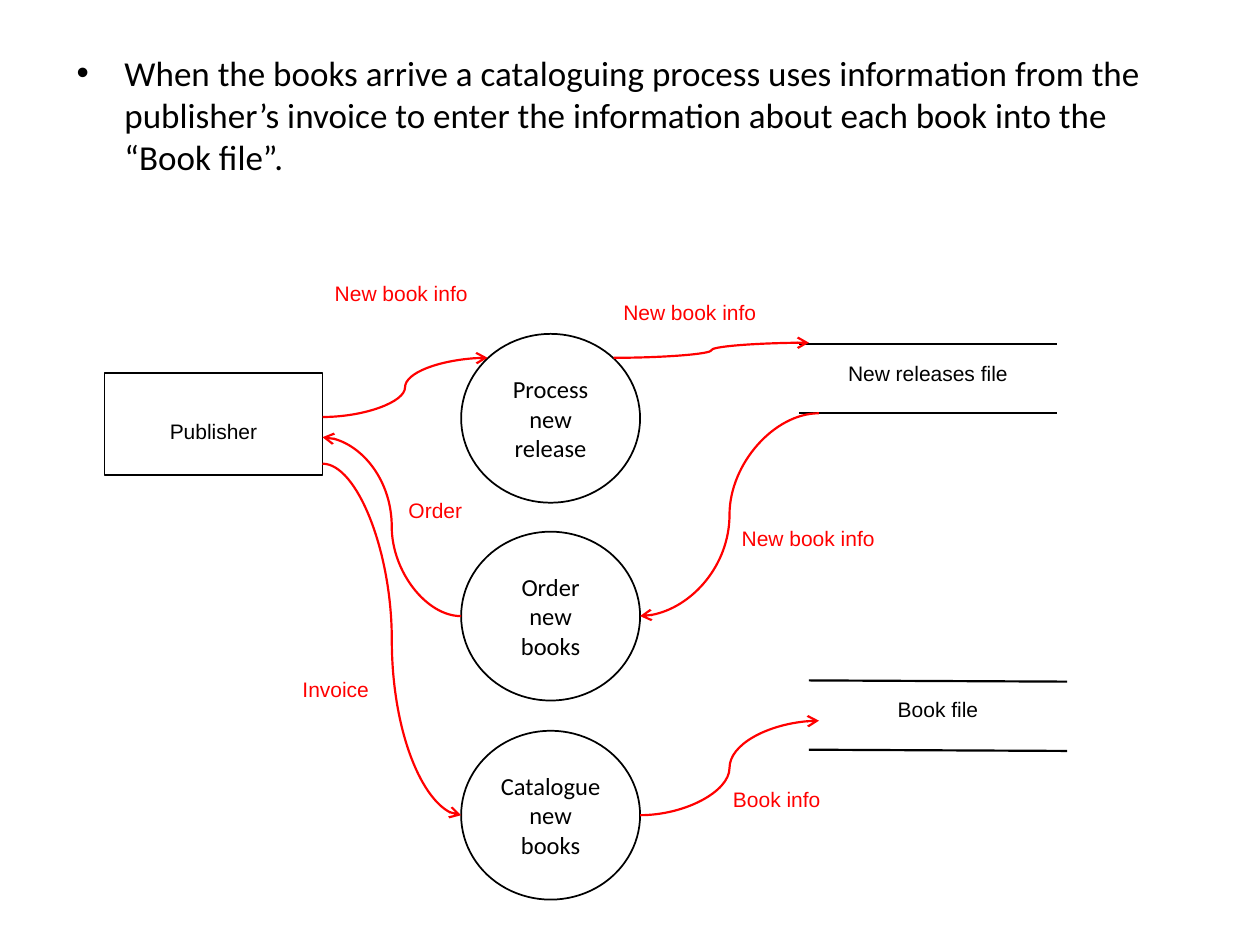
"""Build a data flow diagram slide for ordering and cataloguing books."""
import dataclasses

import lxml.etree
import pptx
import pptx.dml.color
import pptx.enum.shapes
import pptx.enum.text
import pptx.oxml.ns
import pptx.util

Inches = pptx.util.Inches
Pt = pptx.util.Pt
qn = pptx.oxml.ns.qn
Kind = pptx.enum.shapes.MSO_CONNECTOR
Form = pptx.enum.shapes.MSO_SHAPE
Align = pptx.enum.text.PP_ALIGN
Anchor = pptx.enum.text.MSO_ANCHOR

COLORS = {"ink": "000000", "flow": "FF0000"}
LABEL_W, LABEL_H = 1.73, 0.3
RING_X, RING_W, RING_H = 3.66, 1.42, 1.34
STORE_W, STORE_H = 2.05, 0.55


@dataclasses.dataclass
class Label:
    text: str
    left: float
    top: float
    color: str = "flow"


@dataclasses.dataclass
class Process:
    text: str
    top: float


@dataclasses.dataclass
class Store:
    name: str
    left: float
    top: float
    slope: float


@dataclasses.dataclass
class Flow:
    start: tuple[float, float]
    end: tuple[float, float]


LABELS = [
    Label("New book info", 2.32, 2.18),
    Label("New book info", 4.61, 2.33),
    Label("New book info", 5.55, 4.12),
    Label("Order", 2.59, 3.9),
    Label("Invoice", 1.8, 5.32),
    Label("Book info", 5.3, 6.19),
]
STEPS = [
    Process("Process new release", 2.65),
    Process("Order new books", 4.22),
    Process("Catalogue new books", 5.8),
]
STORES = [
    Store("New releases file", 6.34, 2.73, 0),
    Store("Book file", 6.42, 5.4, 0.01),
]
FLOWS = [
    Flow((2.56, 3.31), (3.87, 2.84)),
    Flow((4.87, 2.84), (6.42, 2.72)),
    Flow((6.5, 3.28), (5.08, 4.89)),
    Flow((3.66, 4.89), (2.56, 3.47)),
    Flow((2.56, 3.68), (3.66, 6.47)),
    Flow((5.08, 6.47), (6.5, 5.72)),
]


def rgb(name: str) -> pptx.dml.color.RGBColor:
    """Look up a colour by name."""
    return pptx.dml.color.RGBColor.from_string(COLORS[name])


def write(shape, text: str, size: float, font: str, color: str = "ink"):
    """Put one centred paragraph in a shape and return it."""
    frame = shape.text_frame
    frame.word_wrap = True
    para = frame.paragraphs[0]
    para.text = text
    para.alignment = Align.CENTER
    para.space_before = para.space_after = Pt(0.1)
    para.font.size = Pt(size)
    para.font.name = font
    para.font.color.rgb = rgb(color)
    return para


def add_label(slide, label: Label) -> None:
    """Add a small caption."""
    box = slide.shapes.add_textbox(
        Inches(label.left), Inches(label.top), Inches(LABEL_W), Inches(LABEL_H))
    write(box, label.text, 12, "Arial", label.color)


def add_node(slide, form, left: float, top: float, width: float, height: float, weight: float):
    """Add an unfilled outlined shape."""
    node = slide.shapes.add_shape(
        form, Inches(left), Inches(top), Inches(width), Inches(height))
    node.shadow.inherit = False
    node.fill.background()
    node.line.color.rgb = rgb("ink")
    node.line.width = Pt(weight)
    return node


def add_link(slide, kind, flow: Flow, color: str):
    """Add a connector without a shadow."""
    link = slide.shapes.add_connector(
        kind, *(Inches(value) for value in flow.start + flow.end))
    link.line.color.rgb = rgb(color)
    link.line.width = Pt(1.25)
    lxml.etree.SubElement(link._element.spPr, qn("a:effectLst"))
    return link


def add_flow(slide, flow: Flow) -> None:
    """Add a curved arrow."""
    link = add_link(slide, Kind.CURVE, flow, "flow")
    lxml.etree.SubElement(link.line._get_or_add_ln(), qn("a:tailEnd"), type="arrow")


def add_store(slide, store: Store) -> None:
    """Add a data store: a name between two lines."""
    for y in (store.top, store.top + STORE_H):
        edge = Flow((store.left, y), (store.left + STORE_W, y + store.slope))
        add_link(slide, Kind.STRAIGHT, edge, "ink")
    inset = (STORE_W - LABEL_W) / 2
    add_label(slide, Label(store.name, store.left + inset, store.top + 0.08, "ink"))


def add_step(slide, step: Process) -> None:
    """Add a process circle."""
    ring = add_node(slide, Form.OVAL, RING_X, step.top, RING_W, RING_H, 1)
    ring.text_frame.vertical_anchor = Anchor.MIDDLE
    write(ring, step.text, 14, "Calibri")


def add_intro(slide, text: str) -> None:
    """Add the bulleted sentence at the top."""
    box = slide.shapes.add_textbox(Inches(0.51), Inches(0.36), Inches(9), Inches(1.1))
    para = write(box, text, 20, "Calibri")
    para.alignment = Align.LEFT
    para.space_before = Pt(5.1)
    props = para._p.get_or_add_pPr()
    props.set("marL", str(Inches(0.38)))
    props.set("indent", str(Inches(-0.38)))
    mark = lxml.etree.Element(qn("a:buChar"), char="•")
    props.find(qn("a:spcAft")).addnext(mark)
    mark.addprevious(lxml.etree.Element(qn("a:buFont"), typeface="Arial"))


def main() -> None:
    """Build and save the slide."""
    deck = pptx.Presentation()
    deck.slide_width, deck.slide_height = Inches(10), Inches(7.5)
    slide = deck.slides.add_slide(deck.slide_layouts[6])
    add_intro(slide, "When the books arrive a cataloguing process uses information from the "
                     "publisher’s invoice to enter the information about each book into the "
                     "“Book file”.")
    house = add_node(slide, Form.RECTANGLE, 0.83, 2.96, 1.73, 0.81, 0.75)
    house.text_frame.vertical_anchor = Anchor.TOP
    house.text_frame.margin_top = Inches(0.36)
    write(house, "Publisher", 12, "Arial")
    for step in STEPS:
        add_step(slide, step)
    for store in STORES:
        add_store(slide, store)
    for flow in FLOWS:
        add_flow(slide, flow)
    for label in LABELS:
        add_label(slide, label)
    deck.save("out.pptx")


if __name__ == "__main__":
    main()
